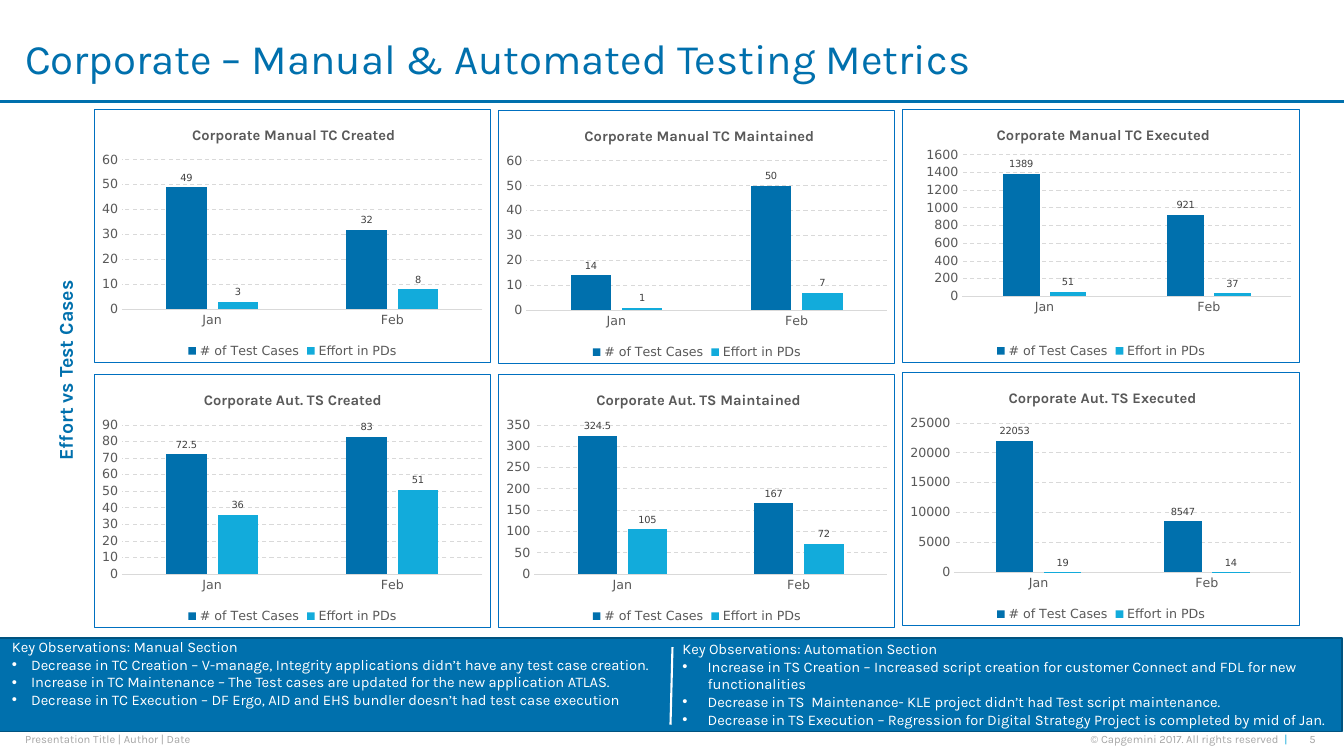
"""Build the corporate manual and automated testing metrics slide."""
from lxml import etree
from pptx import Presentation
from pptx import util as u
from pptx.chart.data import CategoryChartData
from pptx.dml.color import RGBColor
from pptx.enum import chart as ch, dml, shapes, text
from pptx.oxml import parse_xml
from pptx.oxml.ns import nsdecls, qn

BLUE, CYAN, WHITE, GREY = "0070AD", "12ABDB", "FFFFFF", "A6A6A6"
AXIS_TEXT, AXIS_LINE, LABEL = "595959", "D9D9D9", "404040"


def style(font, size, color, name="Karla", bold=False):
    """Set size, colour, typeface and weight of a font."""
    font.size, font.name, font.bold = u.Pt(size), name, bold
    font.color.rgb = RGBColor.from_string(color)


def add_text(box, lines, size, color, align="LEFT", anchor="MIDDLE", inset=0, bold=False, spacing=None):
    """Add a text box and return it."""
    sp = s.shapes.add_textbox(*map(u.Inches, box))
    tf = sp.text_frame
    tf.word_wrap = True
    tf.vertical_anchor = text.MSO_ANCHOR[anchor]
    tf.margin_left = tf.margin_right = u.Inches(inset)
    tf.margin_top = tf.margin_bottom = u.Inches(inset / 2)
    tf.text = "\n".join(lines)
    for p in tf.paragraphs:
        p.alignment = text.PP_ALIGN[align]
        p.line_spacing = spacing
        for r in p.runs:
            style(r.font, size, color, bold=bold)
    return sp


prs = Presentation()
prs.slide_width, prs.slide_height = u.Inches(13.33), u.Inches(7.5)
s = prs.slides.add_slide(prs.slide_layouts[6])

add_text((12.75, 7.27, 0.3, 0.13), ["5"], 8, GREY, "RIGHT")
sp = add_text((9.86, 7.27, 2.91, 0.13), ["© Capgemini 2017. All rights reserved  "], 8, GREY, "RIGHT")
r = sp.text_frame.paragraphs[0].add_run()
r.text = "|"
style(r.font, 8, CYAN)
add_text((0.25, 7.27, 5.16, 0.13), ["Presentation Title | Author | Date"], 8, GREY)
add_text((0.25, 0, 12.17, 1.21), ["Corporate – Manual & Automated Testing Metrics"], 30, BLUE, spacing=0.9)
sp = add_text((-0.56, 3.55, 2.4, 0.25), ["Effort vs Test Cases"], 14, BLUE, "CENTER", "BOTTOM",
              bold=True, spacing=0.9)
sp.rotation = 270

sp = s.shapes.add_shape(shapes.MSO_SHAPE.RECTANGLE, *map(u.Inches, (-0.02, 6.33, 13.33, 0.93)))
sp.shadow.inherit = False
sp.fill.solid()
sp.fill.fore_color.rgb = RGBColor.from_string(BLUE)
sp.line.color.rgb = RGBColor.from_string("005380")
sp.line.width = u.Pt(1)

for ends, color, width in [((0, 1.01, 13.33, 1.01), BLUE, 2.25), ((6.67, 6.42, 6.65, 7.19), WHITE, 1.5)]:
    line = s.shapes.add_connector(shapes.MSO_CONNECTOR.STRAIGHT, *map(u.Inches, ends))
    line.line.color.rgb = RGBColor.from_string(color)
    line.line.width = u.Pt(width)
    etree.SubElement(line._element.spPr, qn("a:effectLst"))

observations = [
    ((6.67, 6.3, 6.65, 1.16), 0.25, [
        "Key Observations: Automation Section",
        "Increase in TS Creation – Increased script creation for customer Connect and FDL for new functionalities",
        "Decrease in TS  Maintenance- KLE project didn’t had Test script maintenance.",
        "Decrease in TS Execution – Regression for Digital Strategy Project is completed by mid of Jan."]),
    ((0.02, 6.28, 6.65, 0.81), 0.19, [
        "Key Observations: Manual Section",
        "Decrease in TC Creation – V-manage, Integrity applications didn’t have any test case creation.",
        "Increase in TC Maintenance – The Test cases are updated for the new application ATLAS.",
        "Decrease in TC Execution – DF Ergo, AID and EHS bundler doesn’t had test case execution"]),
]
for box, indent, lines in observations:
    sp = add_text(box, lines, 10.5, WHITE, anchor="TOP", inset=0.1)
    for p in sp.text_frame.paragraphs[1:]:
        pPr = p._p.get_or_add_pPr()
        pPr.set("marL", str(u.Inches(indent)))
        pPr.set("indent", str(-u.Inches(indent)))
        etree.SubElement(pPr, qn("a:buFont")).set("typeface", "Arial")
        etree.SubElement(pPr, qn("a:buChar")).set("char", "•")

tall, low = (0.2, 0.59), (0.18, 0.56)
charts = [
    ("Manual TC Created", 1.08, (49, 32), (3, 8), 60, 10, 0.24, 0.07, tall),
    ("Manual TC Maintained", 1.09, (14, 50), (1, 7), 60, 10, 0.21, 0.07, tall),
    ("Manual TC Executed", 1.08, (1389, 921), (51, 37), 1600, 200, 0.23, 0.15, low),
    ("Aut. TS Created", 3.71, (72.5, 83), (36, 51), 90, 10, 0.27, 0.07, tall),
    ("Aut. TS Maintained", 3.71, (324.5, 167), (105, 72), 350, 50, 0.24, 0.09, tall),
    ("Aut. TS Executed", 3.69, (22053, 8547), (19, 14), 25000, 5000, 0.26, 0.13, tall),
]
for i, (name, top, cases, effort, maximum, step, title_x, plot_x, (plot_y, plot_h)) in enumerate(charts):
    data = CategoryChartData()
    data.categories = ["Jan", "Feb"]
    data.add_series("# of Test Cases", cases)
    data.add_series("Effort in PDs", effort)
    box = (0.93 + 4.01 * (i % 3), top, 3.94, 2.52)
    chart = s.shapes.add_chart(ch.XL_CHART_TYPE.COLUMN_CLUSTERED, *map(u.Inches, box), data).chart
    style(chart.font, 10, "000000", "DejaVu Sans")

    chart.has_title = True
    tf = chart.chart_title.text_frame
    tf.text = "Corporate " + name
    style(tf.paragraphs[0].runs[0].font, 10.5, AXIS_TEXT, bold=True)
    chart.chart_title.include_in_layout = False

    chart.has_legend = True
    chart.legend.position = ch.XL_LEGEND_POSITION.BOTTOM
    chart.legend.include_in_layout = False
    style(chart.legend.font, 9, AXIS_TEXT, "DejaVu Sans")

    cat, val = chart.category_axis, chart.value_axis
    for axis in (cat, val):
        axis.major_tick_mark = axis.minor_tick_mark = ch.XL_TICK_MARK.NONE
        style(axis.tick_labels.font, 9, AXIS_TEXT, "DejaVu Sans")
    val.minimum_scale, val.maximum_scale, val.major_unit = 0, maximum, step
    val.has_major_gridlines = True
    val.format.line.fill.background()
    grid = val.major_gridlines.format.line
    for line in (cat.format.line, grid):
        line.color.rgb = RGBColor.from_string(AXIS_LINE)
        line.width = u.Pt(0.75)
    grid.dash_style = dml.MSO_LINE.DASH

    plot = chart.plots[0]
    plot.gap_width, plot.overlap, plot.vary_by_categories = 219, -27, False
    for series, color, fmt in zip(plot.series, (BLUE, CYAN), ("General", "0")):
        series.format.fill.solid()
        series.format.fill.fore_color.rgb = RGBColor.from_string(color)
        labels = series.data_labels
        labels.show_value = True
        labels.number_format, labels.number_format_is_linked = fmt, False
        labels.position = ch.XL_LABEL_POSITION.OUTSIDE_END
        style(labels.font, 7, LABEL, "DejaVu Sans")

    space = chart._chartSpace
    layouts = [
        ("c:title", 1, dict(xMode="edge", yMode="edge", x=title_x, y=0.05)),
        ("c:plotArea", 0, dict(layoutTarget="inner", xMode="edge", yMode="edge", x=plot_x, y=plot_y,
                               w=0.98 - plot_x, h=plot_h)),
    ]
    for tag, index, values in layouts:
        parent = space.find(qn("c:chart")).find(qn(tag))
        for old in parent.findall(qn("c:layout")):
            parent.remove(old)
        layout = etree.Element(qn("c:layout"))
        manual = etree.SubElement(layout, qn("c:manualLayout"))
        for key, value in values.items():
            etree.SubElement(manual, qn("c:" + key)).set("val", str(value))
        parent.insert(index, layout)
    space.find(qn("c:chart")).addnext(parse_xml(
        f'<c:spPr {nsdecls("c", "a")}><a:solidFill><a:srgbClr val="{WHITE}"/></a:solidFill>'
        f'<a:ln w="{u.Pt(0.75)}"><a:solidFill><a:srgbClr val="0070C0"/></a:solidFill></a:ln></c:spPr>'))

prs.save("out.pptx")
